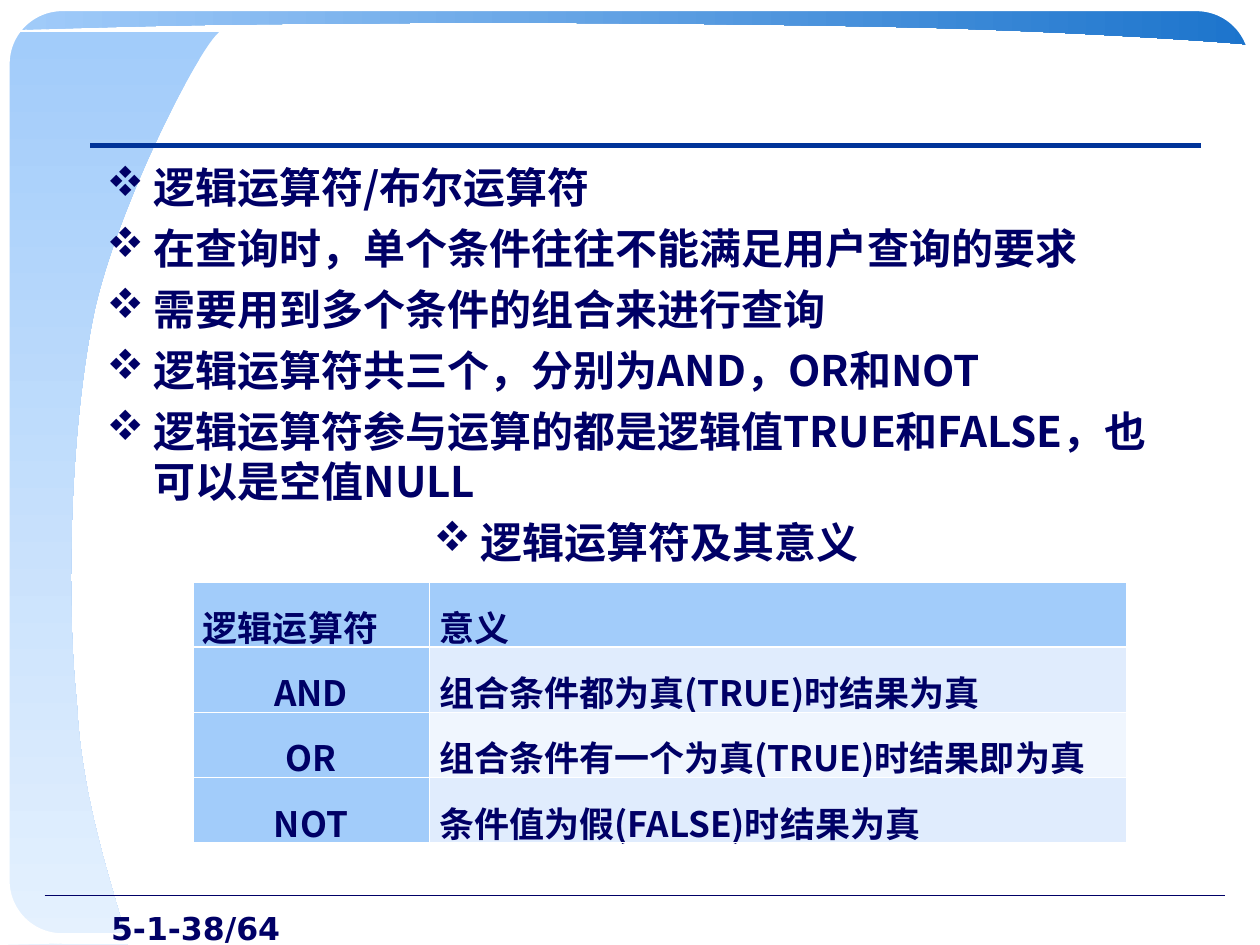
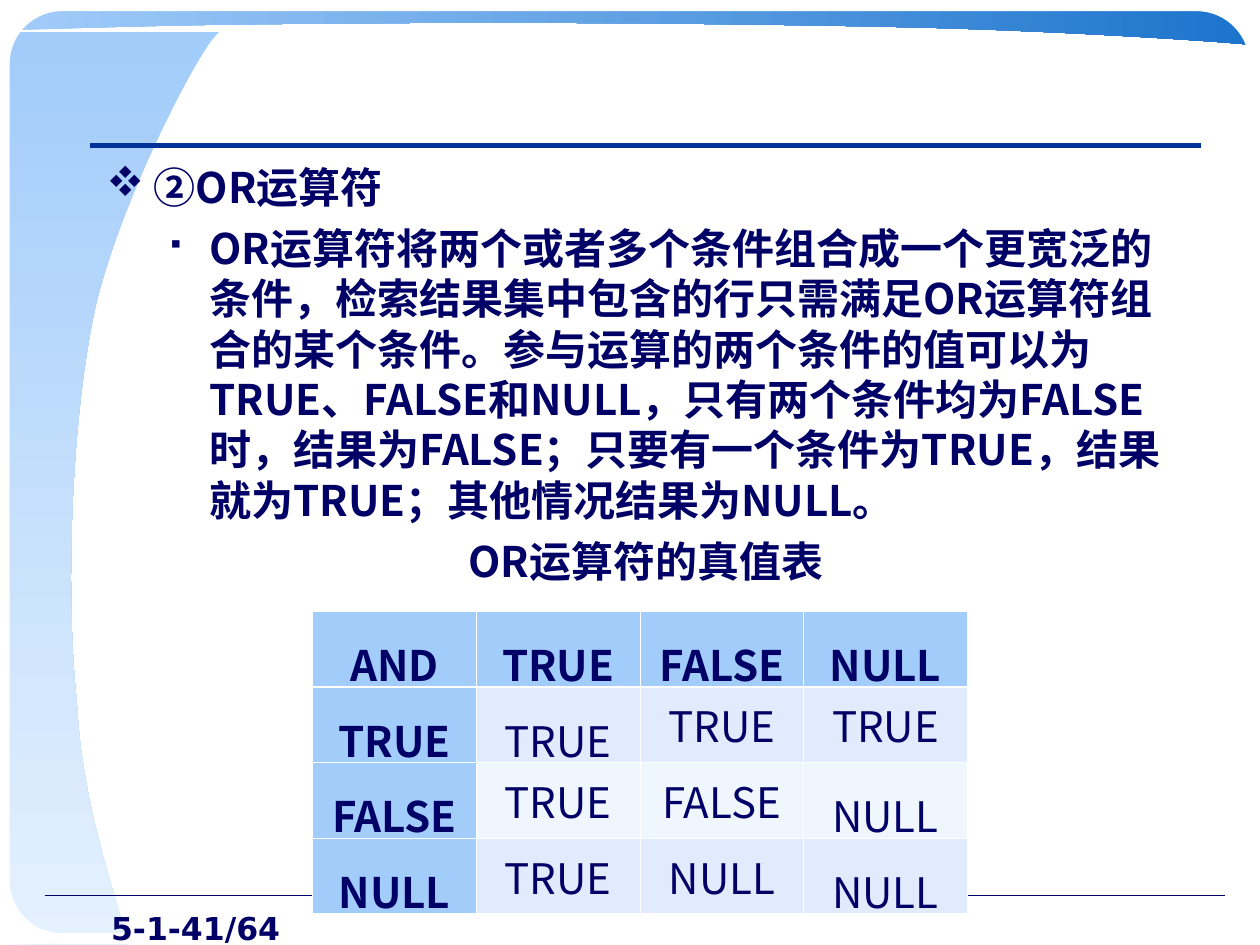
from lxml.etree import SubElement
from pptx import Presentation
from pptx.dml.color import RGBColor
from pptx.enum.shapes import MSO_CONNECTOR, MSO_SHAPE
from pptx.enum.text import MSO_ANCHOR, PP_ALIGN
from pptx.oxml import parse_xml
from pptx.oxml.ns import nsdecls, qn
from pptx.util import Cm, Pt


class Theme:
    ink, rule, white = "000066", "003399", "FFFFFF"
    head, odd, even = "A2CCFA", "E0ECFD", "F0F6FE"
    pale, deep = "E5F1FE", "1C74CC"
    font, foot, signs = "Noto Sans CJK SC", "DejaVu Sans", "Wingdings"
    body, small, page, gap = 24, 20, 18, 6


# Content: body rows are (style, text)
SLIDES = [
    {
        "page": "5-1-38/64",
        "body": [
            ("main", "逻辑运算符/布尔运算符"),
            ("main", "在查询时，单个条件往往不能满足用户查询的要求"),
            ("main", "需要用到多个条件的组合来进行查询"),
            ("main", "逻辑运算符共三个，分别为AND，OR和NOT"),
            ("main", "逻辑运算符参与运算的都是逻辑值TRUE和FALSE，也可以是空值NULL"),
            ("mid", "逻辑运算符及其意义"),
        ],
        "table": {
            "at": (3.89, 11.73), "cols": (4.76, 14.05), "size": Theme.small,
            "pad": 0.2, "truth": False, "tight": set(),
            "rows": [
                ("逻辑运算符", "意义"),
                ("AND", "组合条件都为真(TRUE)时结果为真"),
                ("OR", "组合条件有一个为真(TRUE)时结果即为真"),
                ("NOT", "条件值为假(FALSE)时结果为真"),
            ],
        },
    },
    {
        "page": "5-1-41/64",
        "body": [
            ("main", "②OR运算符"),
            ("sub", "OR运算符将两个或者多个条件组合成一个更宽泛的条件，"
                    "检索结果集中包含的行只需满足OR运算符组合的某个条件。"
                    "参与运算的两个条件的值可以为TRUE、FALSE和NULL，"
                    "只有两个条件均为FALSE时，结果为FALSE；"
                    "只要有一个条件为TRUE，结果就为TRUE；其他情况结果为NULL。"),
            ("title", "OR运算符的真值表"),
        ],
        "table": {
            "at": (6.3, 12.32), "cols": (3.3,) * 4, "size": Theme.body,
            "pad": 0.18, "truth": True,
            # Cells with single line spacing
            "tight": {(1, 2), (1, 3), (2, 1), (2, 2), (3, 1), (3, 2)},
            "rows": [
                ("AND", "TRUE", "FALSE", "NULL"),
                ("TRUE", "TRUE", "TRUE", "TRUE"),
                ("FALSE", "TRUE", "FALSE", "NULL"),
                ("NULL", "TRUE", "NULL", "NULL"),
            ],
        },
    },
]

# Body styles: left margin, hanging indent, bullet in the sign font
# (v is a diamond, § a square), bullet size %, centred
STYLES = {
    "main": (0.95, 0.95, "v", 100, False),
    "mid": (0.95, 0.95, "v", 100, True),
    "sub": (2.07, 0.79, "§", 60, False),
    "title": (0.95, 0.95, None, 100, True),
}

# Outlines in cm: a pair is a straight step, six numbers are a curve
SIDE = [(2.57, 19.05), (2.41, 18.24, 1.65, 16.31, 1.55, 14.17),
        (1.32, 12.04, 1.42, 8.56, 1.91, 6.25),
        (2.41, 4.04, 4.06, 0.89, 4.42, 0.65), (0.03, 0.64), (0, 19.05)]
TOP = [(0.18, 0.61), (1.3, 0.58, 3.78, 0.48, 6.88, 0.48),
       (9.8, 0.43, 15.54, 0.48, 18.69, 0.56),
       (21.69, 0.64, 24.94, 0.86, 25.25, 0.91), (25.27, 0.18), (0.18, 0.18)]
CORNERS = [
    [(1.22, 19.02), (0.48, 18.67), (0.13, 18.29), (0, 17.73), (0, 19.05)],
    [(0, 1.4), (0.1, 1.24, 0.33, 0.66, 0.53, 0.43),
     (0.71, 0.2, 1.27, 0.1, 1.22, 0), (0, 0.03)],
    [(25.37, 17.78), (25.07, 18.42), (24.66, 18.82), (24.28, 19.05), (25.4, 19.02)],
    [(24.16, 0.03), (24.28, 0.08, 24.69, 0.05, 25.04, 0.43),
     (25.37, 0.81, 25.32, 1.52, 25.37, 1.45), (25.37, 0.03)],
]


def rgb(code):
    return RGBColor.from_string(code)


def bend(shape, path):
    """Join the three steps of each curve into one Bézier step."""
    steps = iter(list(shape._element.iter(qn("a:lnTo"))))
    for seg in path[1:]:
        first = next(steps)
        if len(seg) == 6:
            first.tag = qn("a:cubicBezTo")
            for _ in range(2):
                step = next(steps)
                first.append(step[0])
                step.getparent().remove(step)


def add_free(slide, path, stops, angle=0):
    pts = [(Cm(x), Cm(y)) for seg in path for x, y in zip(seg[::2], seg[1::2])]
    pen = slide.shapes.build_freeform(*pts[0], scale=1.0)
    pen.add_line_segments(pts[1:], close=True)
    shape = pen.convert_to_shape()
    bend(shape, path)
    shape.shadow.inherit = False
    shape.line.fill.background()
    if len(stops) == 1:
        shape.fill.solid()
        shape.fill.fore_color.rgb = rgb(stops[0])
        return
    shape.fill.gradient()
    shape.fill.gradient_angle = angle
    for stop, code, pos in zip(shape.fill.gradient_stops, stops, (0, 1)):
        stop.color.rgb = rgb(code)
        stop.position = pos


def add_rule(slide, left, right, y, code, width):
    line = slide.shapes.add_connector(
        MSO_CONNECTOR.STRAIGHT, Cm(left), Cm(y), Cm(right), Cm(y))
    line.line.color.rgb = rgb(code)
    line.line.width = Pt(width)
    SubElement(line._element.spPr, qn("a:effectLst"))


def style(para, size, bold=True, face=Theme.font):
    for run in para.runs:
        font = run.font
        font.name, font.size, font.bold = face, Pt(size), bold
        font.color.rgb = rgb(Theme.ink)
        SubElement(run._r.get_or_add_rPr(), qn("a:ea")).set("typeface", face)


def add_box(slide, *area):
    frame = slide.shapes.add_textbox(*map(Cm, area)).text_frame
    frame.word_wrap = True
    return frame


def add_frame(slide, page):
    add_free(slide, SIDE, (Theme.head, Theme.pale), 270)
    add_free(slide, TOP, (Theme.head, Theme.deep))
    add_rule(slide, 0.9, 24.7, 18.05, Theme.ink, 0.75)
    # White rim that rounds the slide edge
    rim = slide.shapes.add_shape(
        MSO_SHAPE.ROUNDED_RECTANGLE, Cm(0.09), Cm(0.12), Cm(25.2), Cm(18.8))
    rim.adjustments[0] = 0.062
    rim.shadow.inherit = False
    rim.fill.background()
    rim.line.color.rgb = rgb(Theme.white)
    rim.line.width = Pt(6)
    for path in CORNERS:
        add_free(slide, path, (Theme.white,))
    add_rule(slide, 1.82, 24.22, 2.93, Theme.rule, 3)
    # Page mark
    para = add_box(slide, 0, 18.2, 5.9, 0.86).paragraphs[0]
    para.text = page
    para.alignment = PP_ALIGN.RIGHT
    style(para, Theme.page, face=Theme.foot)


def add_body(slide, rows):
    frame = add_box(slide, 1.9, 3.13, 22.25, 14.81)
    frame.text = "\n".join(text for _, text in rows)
    for n, (para, (kind, _)) in enumerate(zip(frame.paragraphs, rows)):
        left, hang, mark, scale, mid = STYLES[kind]
        if n:
            para.space_before = Pt(Theme.gap)
        if mid:
            para.alignment = PP_ALIGN.CENTER
        if kind == "sub":
            para.level = 1
        props = para._p.get_or_add_pPr()
        props.set("marL", str(Cm(left)))
        props.set("indent", str(-Cm(hang)))
        if mark:
            tint = SubElement(props, qn("a:buClr"))
            SubElement(tint, qn("a:srgbClr")).set("val", Theme.ink)
            SubElement(props, qn("a:buSzPct")).set("val", str(scale * 1000))
            sign = SubElement(props, qn("a:buFont"))
            sign.set("typeface", Theme.signs)
            sign.set("charset", "2")
            SubElement(props, qn("a:buChar")).set("char", mark)
        else:
            SubElement(props, qn("a:buNone"))
        style(para, Theme.body)


def add_edges(cell, row):
    props = cell._tc.get_or_add_tcPr()
    thick = {(0, "B"), (1, "T")}
    for n, side in enumerate("LRTB"):
        width = Pt(1.47 if (row, side) in thick else 0.45)
        props.insert(n, parse_xml(
            f'<a:ln{side} {nsdecls("a")} w="{width}"><a:solidFill>'
            f'<a:srgbClr val="{Theme.white}"/></a:solidFill></a:ln{side}>'))


def add_grid(slide, data):
    rows, cols, truth = data["rows"], data["cols"], data["truth"]
    tall = 1.3
    grid = slide.shapes.add_table(
        len(rows), len(cols), *map(Cm, data["at"]),
        Cm(sum(cols)), Cm(tall * len(rows))).table
    for col, width in zip(grid.columns, cols):
        col.width = Cm(width)
    for r, row in enumerate(rows):
        grid.rows[r].height = Cm(tall)
        for c, text in enumerate(row):
            cell = grid.cell(r, c)
            label = r == 0 or c == 0
            cell.margin_left = cell.margin_right = Cm(data["pad"])
            cell.fill.solid()
            cell.fill.fore_color.rgb = rgb(
                Theme.head if label else Theme.odd if r % 2 else Theme.even)
            add_edges(cell, r)
            cell.text_frame.text = text
            para = cell.text_frame.paragraphs[0]
            mid = truth or (r > 0 and c == 0)
            para.alignment = PP_ALIGN.CENTER if mid else PP_ALIGN.JUSTIFY
            if (r, c) not in data["tight"]:
                para.line_spacing = 1.25
            if truth and not label:
                cell.vertical_anchor = MSO_ANCHOR.MIDDLE
            style(para, data["size"], bold=label or not truth)


def main():
    deck = Presentation()
    deck.slide_width, deck.slide_height = Cm(25.4), Cm(19.05)
    for item in SLIDES:
        slide = deck.slides.add_slide(deck.slide_layouts[6])
        add_frame(slide, item["page"])
        add_body(slide, item["body"])
        add_grid(slide, item["table"])
    deck.save("out.pptx")


if __name__ == "__main__":
    main()
